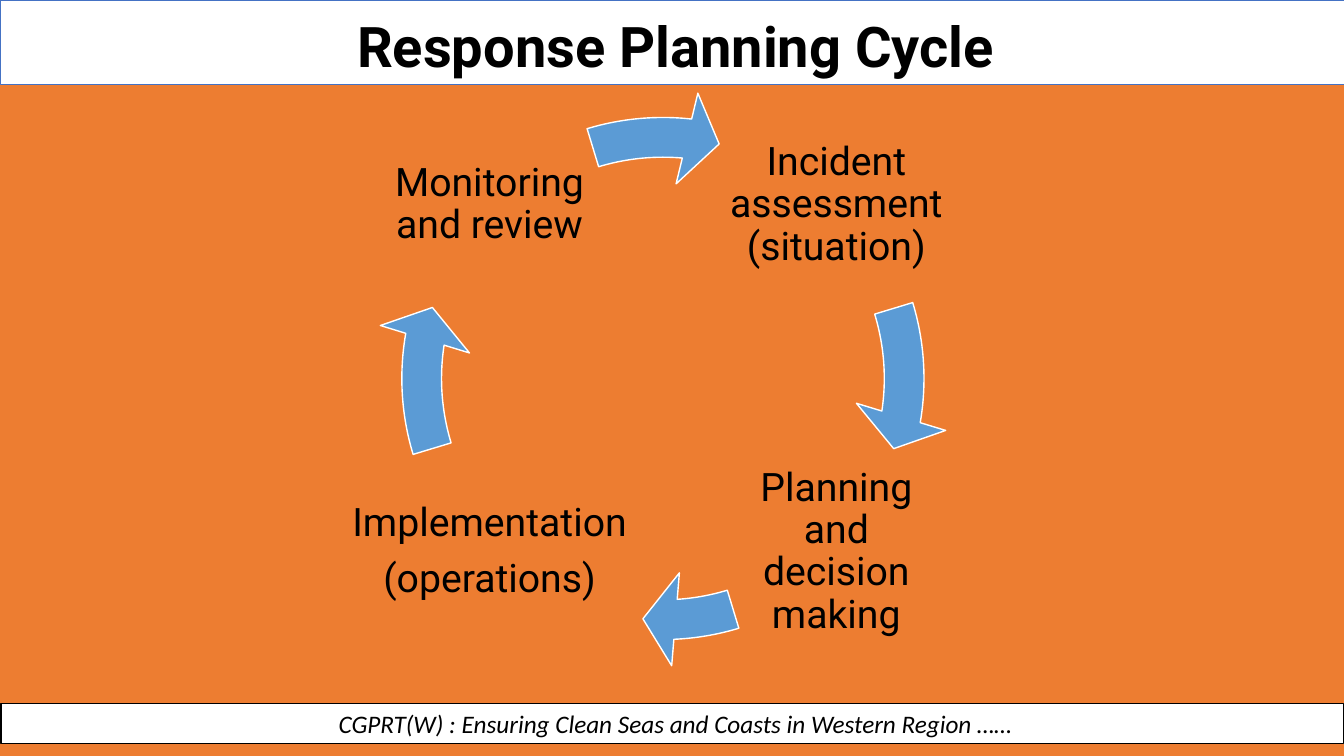
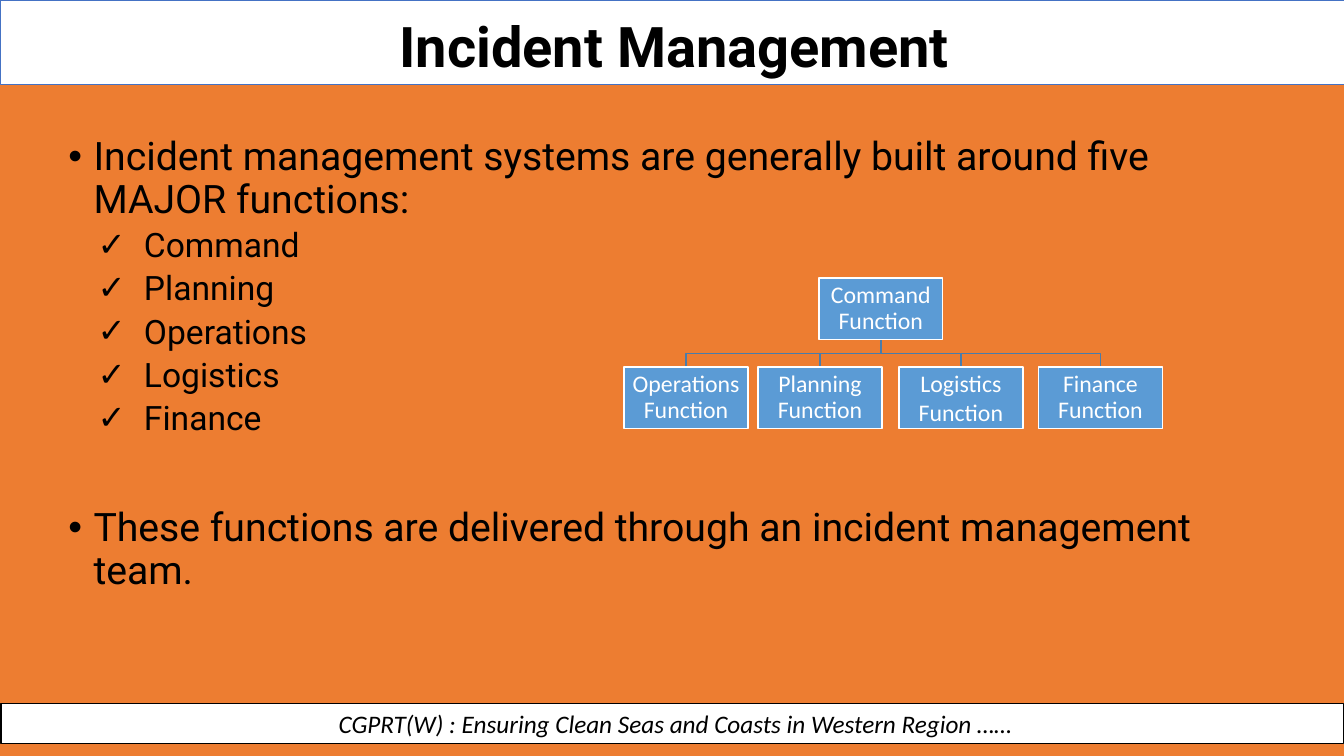
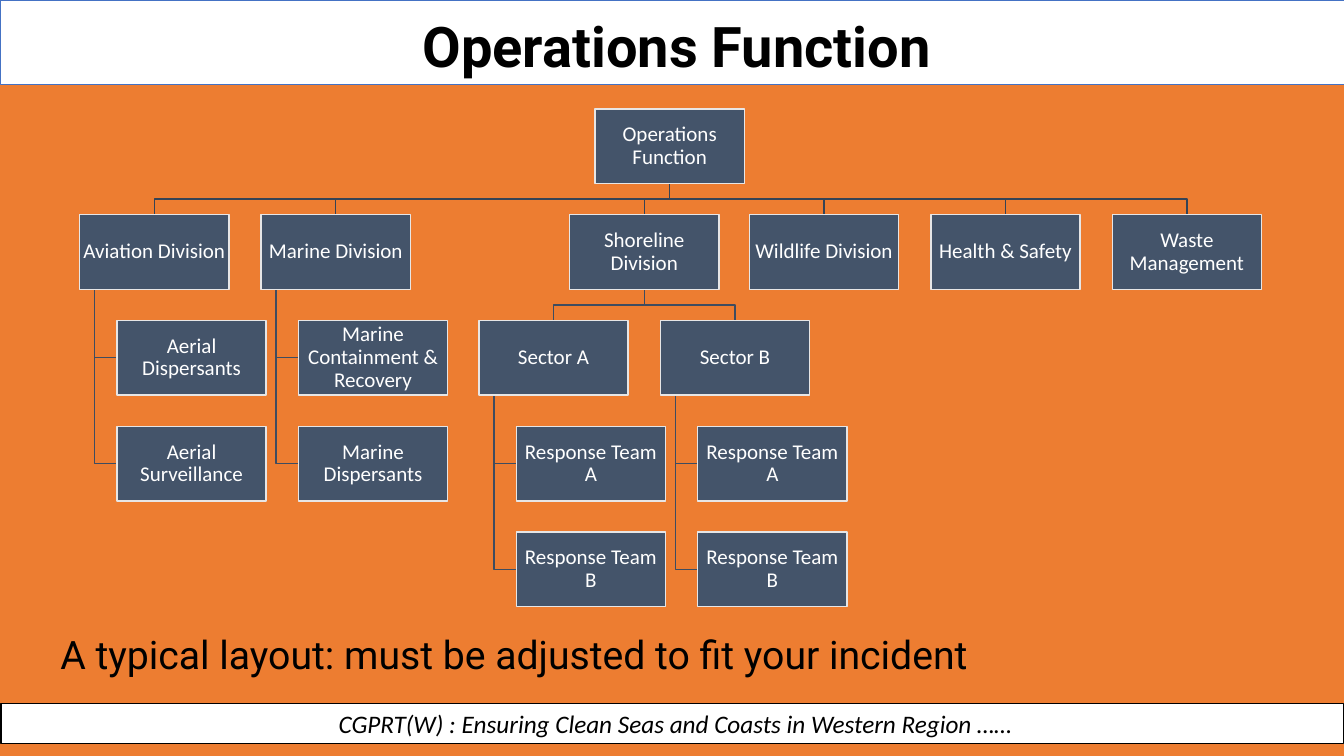
from collections import namedtuple
from dataclasses import dataclass

from lxml.etree import SubElement
from pptx import Presentation
from pptx.dml.color import RGBColor
from pptx.enum.shapes import MSO_SHAPE
from pptx.enum.text import MSO_ANCHOR, MSO_AUTO_SIZE, PP_ALIGN
from pptx.oxml.ns import qn
from pptx.util import Inches, Pt

COLORS = {
    "background": "ED7D31", "white": "FFFFFF", "black": "000000",
    "title_edge": "4472C4", "blue": "5B9BD5", "blue_link": "497CAB",
    "slate": "44546A", "slate_edge": "E7E6E6",
    "slate_link": "364355", "slate_sublink": "3E4C60",
}
HEADING_FONT, BODY_FONT, BULLET_FONT = "Roboto", "Calibri", "Arial"
FOOTER = "CGPRT(W) : Ensuring Clean Seas and Coasts in Western Region ……"

Box = namedtuple("Box", "left top width height")
PAGE = Box(0, 0, 13.33, 7.5)
TITLE_BAND = Box(0, 0, PAGE.width, 0.84)
FOOTER_BAND = Box(0.01, 6.98, PAGE.width - 0.01, 0.4)


@dataclass
class Node:
    """Unit of an organisation chart, with branches below or units hanging at its side."""
    label: str
    column: float
    branches: tuple = ()
    hanging: tuple = ()
    spacing: float = 0.9


@dataclass
class ChartStyle:
    """Sizes and colours of an organisation chart."""
    node_width: float
    node_height: float
    column_step: float
    row_step: float
    text_size: int
    fill: str
    edge: str
    links: tuple


def color(name):
    """Return a named colour."""
    return RGBColor.from_string(COLORS[name])


def emu(lengths):
    """Turn lengths in inches into lengths for python-pptx."""
    return [Inches(length) for length in lengths]


def write(shape, text, font=BODY_FONT, size=18, ink="black", bold=False, italic=False,
          align=PP_ALIGN.CENTER, spacing=0.9, before=0, bullet=None, left=0, hang=0):
    """Add each line of text to a shape as a formatted paragraph."""
    frame = shape.text_frame
    for line in text.split("\n"):
        paragraph = frame.paragraphs[0]
        if paragraph.runs:
            paragraph = frame.add_paragraph()
            paragraph.space_before = Pt(before)
        paragraph.alignment = align
        paragraph.line_spacing = spacing
        run = paragraph.add_run()
        run.text = line
        run.font.name, run.font.size = font, Pt(size)
        run.font.bold, run.font.italic = bold, italic
        run.font.color.rgb = color(ink)
        if bullet:
            properties = paragraph._p.get_or_add_pPr()
            properties.set("marL", str(Inches(left)))
            properties.set("indent", str(-Inches(hang)))
            SubElement(properties, qn("a:buFont")).set("typeface", BULLET_FONT)
            SubElement(properties, qn("a:buChar")).set("char", bullet)


def set_frame(shape, anchor, inset=None):
    """Wrap the text of a shape, anchor it and set equal insets."""
    frame = shape.text_frame
    frame.word_wrap = True
    frame.auto_size = MSO_AUTO_SIZE.NONE
    frame.vertical_anchor = anchor
    if inset is not None:
        frame.margin_left = frame.margin_right = Inches(inset)
        frame.margin_top = frame.margin_bottom = Inches(inset)


def add_block(slide, box, fill, edge, weight=1, kind=MSO_SHAPE.RECTANGLE):
    """Add a filled and outlined preset shape."""
    shape = slide.shapes.add_shape(kind, *emu(box))
    shape.shadow.inherit = False
    shape.fill.solid()
    shape.fill.fore_color.rgb = color(fill)
    shape.line.color.rgb = color(edge)
    shape.line.width = Pt(weight)
    return shape


def add_label(slide, box, anchor=MSO_ANCHOR.TOP, inset=None):
    """Add an empty text box that wraps."""
    label = slide.shapes.add_textbox(*emu(box))
    set_frame(label, anchor, inset)
    return label


def add_link(slide, points, ink):
    """Add an open bent line through the points."""
    start, *rest = [emu(point) for point in points]
    builder = slide.shapes.build_freeform(*start)
    builder.add_line_segments(rest, close=False)
    link = builder.convert_to_shape()
    link.shadow.inherit = False
    link.fill.background()
    link.line.color.rgb = color(ink)
    link.line.width = Pt(1)


def add_slide(presentation, heading, title_width=12.4):
    """Add a title-only slide with the shared bands, title and footer."""
    slide = presentation.slides.add_slide(presentation.slide_layouts[5])
    footer = add_block(slide, FOOTER_BAND, "white", "black", 0.75)
    set_frame(footer, MSO_ANCHOR.MIDDLE)
    footer.text_frame.margin_left = Inches(0.16)
    write(footer, FOOTER, italic=True, spacing=1)
    add_block(slide, TITLE_BAND, "white", "title_edge", 0.5)
    title = slide.shapes.title
    title.left, title.top, title.width, title.height = emu((0.5, 0.14, title_width, 0.61))
    set_frame(title, MSO_ANCHOR.TOP)
    write(title, heading, font=HEADING_FONT, size=40, bold=True)
    slide.shapes._spTree.append(title._element)
    return slide


def add_cycle(slide, ring, reach, stages):
    """Set the stages around a ring, each followed by its curved arrow."""
    height = 0.35 * ring.height
    for text, side, level, share, head_angle, tail_angle in stages:
        width = share * ring.width
        center_x = ring.left + ring.width / 2 + side * reach
        center_y = ring.top + ring.height / 2 + level * reach
        box = Box(center_x - width / 2, center_y - height / 2, width, height)
        label = add_label(slide, box, MSO_ANCHOR.MIDDLE, 0.04)
        write(label, text, font=HEADING_FONT, size=28, before=9.8)
        arrow = add_block(slide, ring, "blue", "white", kind=MSO_SHAPE.CIRCULAR_ARROW)
        for index, value in enumerate((0.069, 4.654, head_angle, tail_angle, 0.081)):
            arrow.adjustments[index] = value


def add_node(slide, box, label, style, spacing=0.9):
    """Add one box of an organisation chart."""
    block = add_block(slide, box, style.fill, style.edge)
    set_frame(block, MSO_ANCHOR.MIDDLE, 0.01)
    write(block, label, size=style.text_size, ink="white", spacing=spacing)


def add_chart_branch(slide, origin, node, style, row=0):
    """Draw a node, its links and everything below it from the chart's top left corner."""
    def node_box(column, level, indent=0):
        return Box(origin[0] + column * style.column_step + indent * style.node_width,
                   origin[1] + level * style.row_step, style.node_width, style.node_height)

    box = node_box(node.column, row)
    bottom = box.top + box.height
    middle = box.left + box.width / 2
    ink = style.links[min(row, len(style.links) - 1)]
    for branch in node.branches:
        child = node_box(branch.column, row + 1)
        drop = child.left + child.width / 2
        bus = (bottom + child.top) / 2
        add_link(slide, ((middle, bottom), (middle, bus), (drop, bus), (drop, child.top)), ink)
    for level, label in enumerate(node.hanging, row + 1):
        unit = node_box(node.column, level, indent=0.25)
        spine = box.left + 0.1 * box.width
        center = unit.top + unit.height / 2
        add_link(slide, ((spine, bottom), (spine, center), (unit.left, center)), ink)
        add_node(slide, unit, label, style)
    for branch in node.branches:
        add_chart_branch(slide, origin, branch, style, row + 1)
    add_node(slide, box, node.label, style, node.spacing)


def build_cycle_slide(presentation):
    """Build the planning cycle."""
    slide = add_slide(presentation, "Response Planning Cycle")
    add_cycle(slide, Box(3.72, 0.9, 5.71, 5.71), 1.72, (
        ("Incident assessment (situation)", 1, -1, 0.4, 5.493, 205.853),
        ("Planning and decision making", 1, 1, 0.35, 52.2, 43.853),
        ("Implementation\n(operations)", -1, 1, 0.53, 113.621, 97.853),
        ("Monitoring and review", -1, -1, 0.35, 165.436, 151.872),
    ))


def build_management_slide(presentation):
    """Build the list of functions and their chart."""
    slide = add_slide(presentation, "Incident Management", title_width=12.37)
    body = add_label(slide, Box(0.58, 1.31, 12.17, 5.71))
    point = dict(font=HEADING_FONT, size=28, align=PP_ALIGN.LEFT,
                 bullet="•", left=0.25, hang=0.25)
    check = dict(point, size=24, bullet="✓", left=0.75, hang=0.46, before=5)
    write(body, "Incident management systems are generally built around five "
                "MAJOR functions:", **point)
    write(body, "Command\nPlanning\nOperations\nLogistics\nFinance", **check)
    write(body, "These functions are delivered through an incident management team.",
          before=50, **point)
    style = ChartStyle(1.23, 0.61, 1.37, 0.88, 17, "blue", "white", ("blue_link",))
    add_chart_branch(slide, (6.19, 2.76), Node("Command Function", 1.41, (
        Node("Operations Function", 0),
        Node("Planning Function", 0.97),
        Node("Logistics\nFunction", 1.99, spacing=1),
        Node("Finance Function", 3),
    )), style)


def build_operations_slide(presentation):
    """Build the chart of the operations function and its caption."""
    slide = add_slide(presentation, "Operations Function", title_width=12.42)
    style = ChartStyle(1.48, 0.74, 1.8, 1.05, 15, "slate", "slate_edge",
                       ("slate_link", "slate_sublink"))
    teams = ("Response Team A", "Response Team B")
    add_chart_branch(slide, (0.79, 1.08), Node("Operations Function", 2.84, (
        Node("Aviation Division", 0, hanging=("Aerial Dispersants", "Aerial Surveillance")),
        Node("Marine Division", 1,
             hanging=("Marine Containment & Recovery", "Marine Dispersants")),
        Node("Shoreline Division", 2.7, (
            Node("Sector A", 2.2, hanging=teams),
            Node("Sector B", 3.2, hanging=teams),
        )),
        Node("Wildlife Division", 3.69),
        Node("Health & Safety", 4.69),
        Node("Waste Management", 5.69),
    )), style)
    caption = add_label(slide, Box(0.5, 6.2, 9.84, 0.57))
    write(caption, "A typical layout: must be adjusted to fit your incident",
          font=HEADING_FONT, size=28, align=PP_ALIGN.LEFT, spacing=1)


def main():
    """Build and save the presentation."""
    presentation = Presentation()
    presentation.slide_width, presentation.slide_height = emu(PAGE[2:])
    background = presentation.slide_master.background.fill
    background.solid()
    background.fore_color.rgb = color("background")
    build_cycle_slide(presentation)
    build_management_slide(presentation)
    build_operations_slide(presentation)
    presentation.save("out.pptx")


if __name__ == "__main__":
    main()
